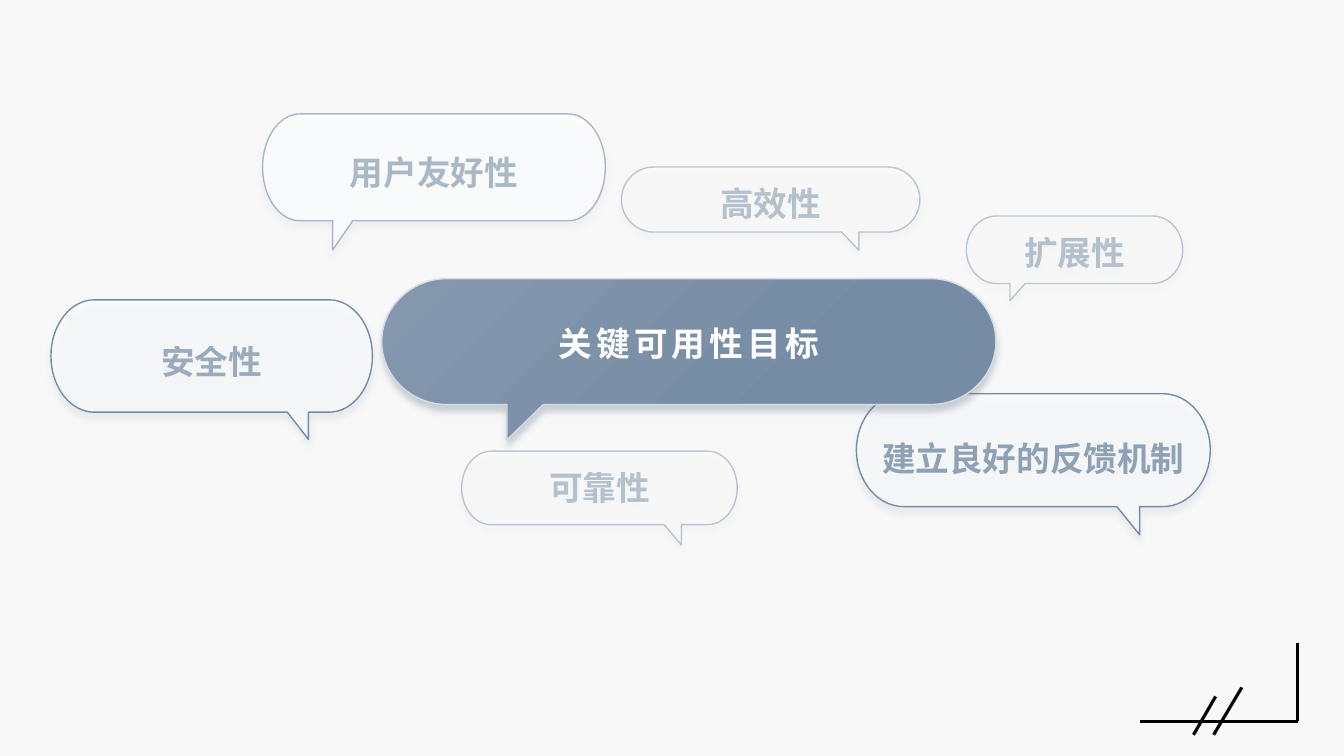
from dataclasses import dataclass

from lxml.etree import SubElement
from pptx import Presentation
from pptx.dml.color import RGBColor
from pptx.enum.shapes import MSO_CONNECTOR as Conn
from pptx.enum.text import MSO_ANCHOR as Anchor, PP_ALIGN as Align
from pptx.oxml import parse_xml
from pptx.oxml.ns import nsdecls, qn
from pptx.util import Inches, Pt

BACKDROP = RGBColor(0xF8, 0xF8, 0xF8)
BLACK = RGBColor(0, 0, 0)
WHITE = RGBColor(0xFF, 0xFF, 0xFF)
SLATE = RGBColor(0x76, 0x8C, 0xA4)
LIGHT_SLATE = RGBColor(0x84, 0x97, 0xAD)
DARK_SLATE = RGBColor(0x54, 0x69, 0x7F)
PALE = RGBColor(0xD6, 0xDC, 0xE4)
FONT = "Noto Sans CJK SC"
WIDTH, HEIGHT = Inches(13.33), Inches(7.5)
ARC = 0.55
CURVE_STARTS = (0, 3, 10, 13)

Point = tuple[float, float]


def px(share: float) -> int:
    return round(WIDTH * share / 100)


def py(share: float) -> int:
    return round(HEIGHT * share / 100)


@dataclass(frozen=True)
class Shadow:
    alpha: int
    blur: float = 5
    dist: float = 4
    color: RGBColor = SLATE


@dataclass(frozen=True)
class Bubble:
    text: str
    left: float
    top: float
    width: float
    height: float
    cap: float
    root: float
    tip: float
    tail: float
    shadow: Shadow
    inset_top: float
    inset_bottom: float
    fill_alpha: int = 100
    line_alpha: int = 100
    text_alpha: int = 100
    anchor: Anchor = Anchor.MIDDLE
    inset_side: float = 0.9
    spacing: int = 0
    main: bool = False


@dataclass(frozen=True)
class Stroke:
    x1: float
    y1: float
    x2: float
    y2: float


FAINT = Shadow(10, 4, 3)
BUBBLES = [
    Bubble("安全性", 3.79, 39.66, 23.92, 14.86, 3.22, 21.38, 22.95, 3.6,
           Shadow(20), 2.13, 4.27, 60, 100, 70),
    Bubble("建立良好的反馈机制", 63.72, 52.08, 26.33, 14.93, 3.52, 83.1, 84.8, 3.73,
           Shadow(20), 2.67, 4.27, 60, 100, 80),
    Bubble("高效性", 46.24, 22.1, 22.2, 8.6, 2.4, 62.62, 63.9, 2.4,
           FAINT, 2.13, 2.67, 40, 45, 50, Anchor.TOP),
    Bubble("关键可用性目标", 28.4, 36.85, 45.7, 16.67, 4.88, 40.42, 37.72, 4.67,
           Shadow(30, color=DARK_SLATE), 0, 4.27, inset_side=2.93, spacing=300, main=True),
    Bubble("用户友好性", 19.54, 15.07, 25.5, 14.13, 2.77, 26.25, 24.75, 3.87,
           Shadow(10), 1.07, 3.73, 70, 60, 60),
    Bubble("扩展性", 71.9, 28.58, 16.1, 8.93, 2.25, 76.27, 75.15, 2.27,
           FAINT, 1.07, 2.67, 20, 45, 50),
    Bubble("可靠性", 34.35, 59.68, 20.5, 9.73, 2.2, 49.42, 50.7, 2.67,
           FAINT, 2.13, 2.67, 40, 45, 50, Anchor.TOP),
]
STROKES = [
    Stroke(84.83, 95.4, 96.55, 95.4),
    Stroke(90.45, 92.13, 88.8, 97.2),
    Stroke(92.4, 90.93, 90.3, 97.2),
    Stroke(96.55, 95.4, 96.55, 85.07),
]


def apply(target, values: dict) -> None:
    for name, value in values.items():
        setattr(target, name, value)


def set_alpha(parent, alpha: int) -> None:
    if alpha < 100:
        color = next(parent.iter(qn("a:srgbClr")))
        SubElement(color, qn("a:alpha"), val=str(alpha * 1000))


def cap_points(cx: float, cy: float, rx: float, ry: float) -> list[Point]:
    units = [(ARC, -1), (1, -ARC), (1, 0), (1, ARC), (ARC, 1), (0, 1)]
    return [(cx + rx * u, cy + ry * v) for u, v in units]


def outline(b: Bubble) -> list[tuple[int, int]]:
    ry = b.height / 2
    cy, bottom = b.top + ry, b.top + b.height
    x1, x2 = b.left + b.cap, b.left + b.width - b.cap
    tail = [(b.root, bottom), (b.tip, bottom + b.tail), (b.tip, bottom)]
    if b.tip > b.root:
        tail.reverse()
    points = [(x2, b.top), *cap_points(x2, cy, b.cap, ry), *tail,
              (x1, bottom), *cap_points(x1, cy, -b.cap, -ry)]
    return [(px(x), py(y)) for x, y in points]


def round_caps(spPr) -> None:
    lines = list(spPr.iter(qn("a:lnTo")))
    for start in CURVE_STARTS:
        first, *rest = lines[start:start + 3]
        first.tag = qn("a:cubicBezTo")
        for line in rest:
            first.append(line[0])
            line.getparent().remove(line)


def add_gradient(spPr) -> None:
    spPr.insert(2, parse_xml(
        f'<a:gradFill {nsdecls("a")} rotWithShape="1"><a:gsLst>'
        f'<a:gs pos="0"><a:srgbClr val="{LIGHT_SLATE}"/></a:gs>'
        f'<a:gs pos="72000"><a:srgbClr val="{SLATE}"/></a:gs></a:gsLst>'
        '<a:path path="circle"><a:fillToRect r="100000" b="100000"/></a:path></a:gradFill>'))


def add_shadow(sp, shadow: Shadow) -> None:
    sp.shadow.inherit = False
    effects = sp._element.spPr.find(qn("a:effectLst"))
    outer = SubElement(effects, qn("a:outerShdw"), blurRad=str(Pt(shadow.blur)),
                       dist=str(Pt(shadow.dist)), dir="5400000", algn="t", rotWithShape="0")
    SubElement(outer, qn("a:srgbClr"), val=str(shadow.color))
    set_alpha(outer, shadow.alpha)


def write_text(sp, b: Bubble) -> None:
    tf = sp.text_frame
    apply(tf, {"word_wrap": True, "vertical_anchor": b.anchor,
               "margin_left": px(b.inset_side), "margin_right": px(b.inset_side),
               "margin_top": py(b.inset_top), "margin_bottom": py(b.inset_bottom)})
    p = tf.paragraphs[0]
    p.alignment = Align.CENTER
    r = p.add_run()
    r.text = b.text
    apply(r.font, {"name": FONT, "size": Pt(24), "bold": True})
    r.font.color.rgb = WHITE if b.main else SLATE
    rPr = r.font._element
    set_alpha(rPr, b.text_alpha)
    SubElement(rPr, qn("a:ea"), typeface=FONT)
    if b.spacing:
        rPr.set("spc", str(b.spacing))


def draw_bubble(s, b: Bubble) -> None:
    points = outline(b)
    builder = s.shapes.build_freeform(*points[0], scale=1.0)
    builder.add_line_segments(points[1:], close=True)
    sp = builder.convert_to_shape()
    spPr = sp._element.spPr
    round_caps(spPr)
    if b.main:
        add_gradient(spPr)
    else:
        sp.fill.solid()
        sp.fill.fore_color.rgb = WHITE
        set_alpha(spPr, b.fill_alpha)
    sp.line.color.rgb = PALE if b.main else SLATE
    sp.line.width = Pt(1)
    set_alpha(spPr.find(qn("a:ln")), b.line_alpha)
    add_shadow(sp, b.shadow)
    write_text(sp, b)


def draw_stroke(s, k: Stroke) -> None:
    line = s.shapes.add_connector(Conn.STRAIGHT, px(k.x1), py(k.y1), px(k.x2), py(k.y2))
    line.line.color.rgb = BLACK
    line.line.width = Pt(2.25)
    SubElement(line._element.spPr, qn("a:effectLst"))


def main() -> None:
    prs = Presentation()
    apply(prs, {"slide_width": WIDTH, "slide_height": HEIGHT})
    s = prs.slides.add_slide(prs.slide_layouts.get_by_name("Blank"))
    s.background.fill.solid()
    s.background.fill.fore_color.rgb = BACKDROP
    for stroke in STROKES:
        draw_stroke(s, stroke)
    for bubble in BUBBLES:
        draw_bubble(s, bubble)
    prs.save("out.pptx")


if __name__ == "__main__":
    main()
